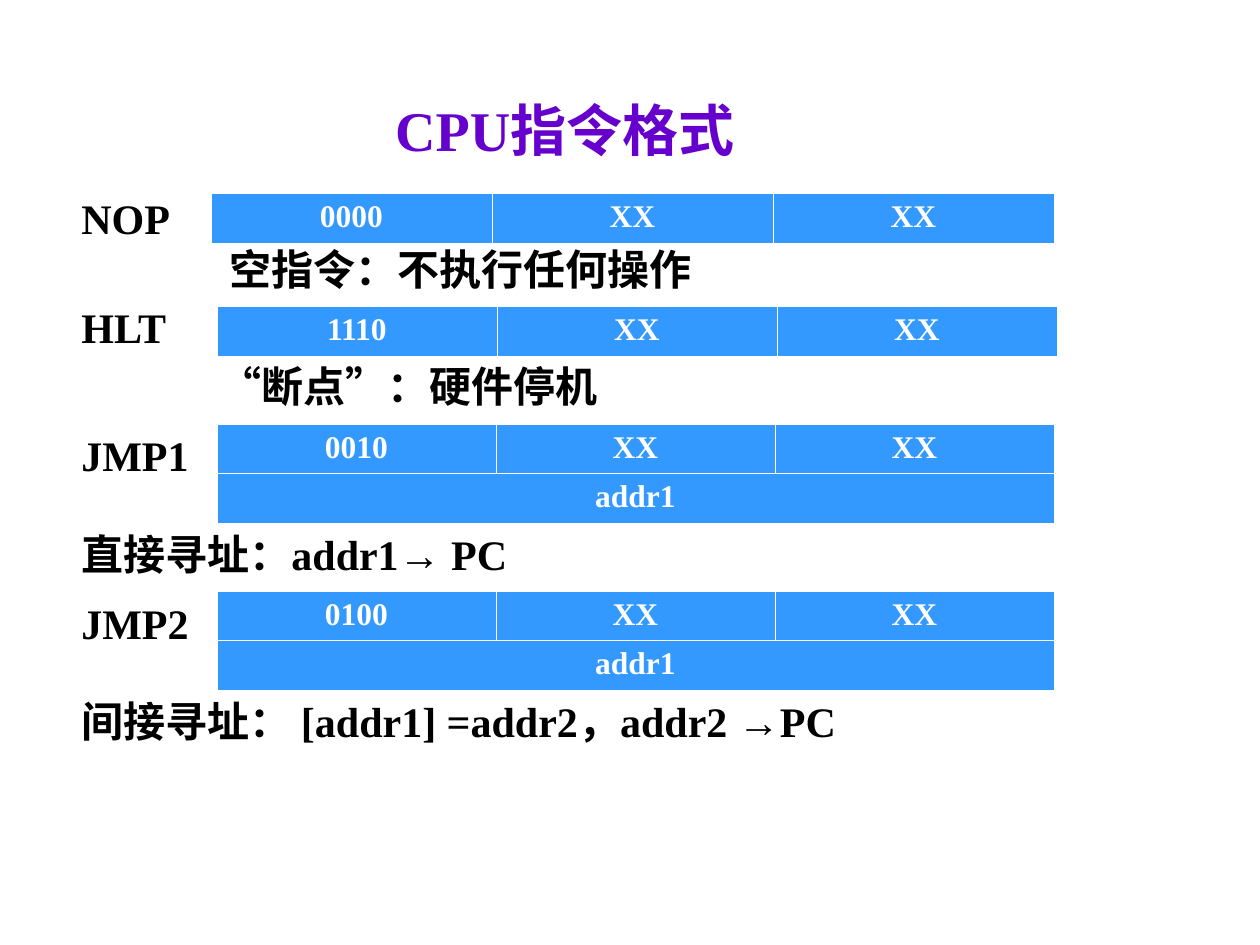
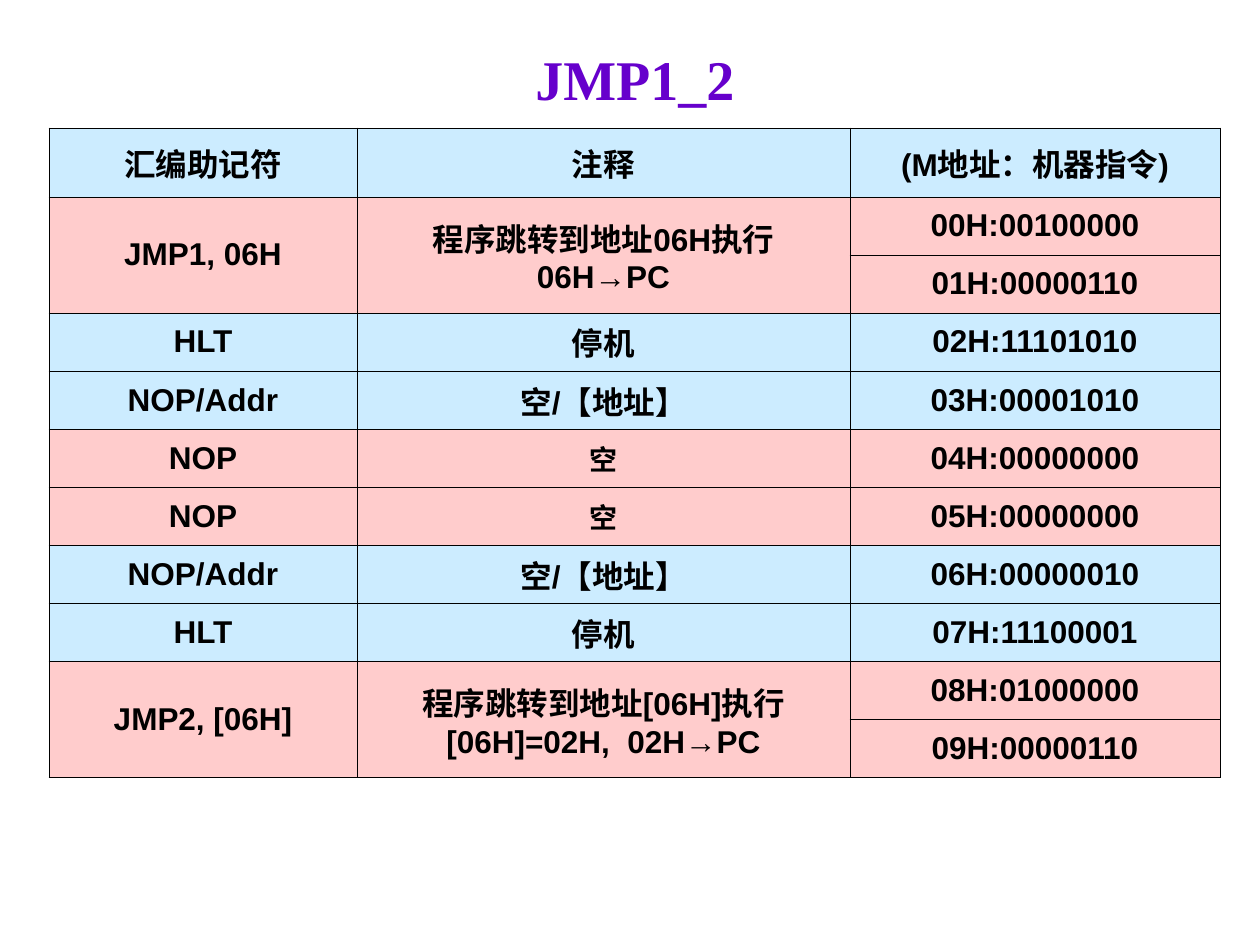
"""Build two slides on CPU instruction formats and a jump program."""
import pptx
import pptx.dml.color
import pptx.enum.lang
import pptx.enum.text
import pptx.oxml
import pptx.oxml.ns
import pptx.util

PX = 914400 / 126
PURPLE = pptx.dml.color.RGBColor(0x66, 0x00, 0xCC)
BLACK = pptx.dml.color.RGBColor(0x00, 0x00, 0x00)
WHITE = pptx.dml.color.RGBColor(0xFF, 0xFF, 0xFF)
BLUE = pptx.dml.color.RGBColor(0x33, 0x99, 0xFF)
PALE_BLUE = pptx.dml.color.RGBColor(0xCC, 0xEC, 0xFF)
PINK = pptx.dml.color.RGBColor(0xFF, 0xCC, 0xCC)
SERIF, SANS = "Times New Roman", "Arial"
CENTER = pptx.enum.text.PP_ALIGN.CENTER
LEFT = pptx.enum.text.PP_ALIGN.LEFT
TOP = pptx.enum.text.MSO_ANCHOR.TOP
MIDDLE = pptx.enum.text.MSO_ANCHOR.MIDDLE


def write(frame, text, size, font, ink, align):
    frame.word_wrap = True
    for number, line in enumerate(text.split("\n")):
        paragraph = frame.add_paragraph() if number else frame.paragraphs[0]
        paragraph.alignment = align
        for part in filter(None, line.partition("→")):
            run = paragraph.add_run()
            run.text = part
            run.font.name = SANS if part == "→" else font
            run.font.size = pptx.util.Pt(size)
            run.font.bold = True
            run.font.color.rgb = ink
            run.font.language_id = pptx.enum.lang.MSO_LANGUAGE_ID.SIMPLIFIED_CHINESE


def add_grid(slide, left, top, widths, heights, rows, fills, font, ink, rule, anchor):
    box = [round(n * PX) for n in (left, top, sum(widths), sum(heights))]
    grid = slide.shapes.add_table(len(rows), len(widths), *box).table
    grid.first_row = grid.horz_banding = False
    for column, width in zip(grid.columns, widths):
        column.width = round(width * PX)
    for r, (row, height, fill) in enumerate(zip(rows, heights, fills)):
        grid.rows[r].height = round(height * PX)
        for c, text in enumerate(row):
            cell = grid.cell(r, c)
            for side in ("lnL", "lnR", "lnT", "lnB"):
                cell._tc.get_or_add_tcPr().append(pptx.oxml.parse_xml(
                    f'<a:{side} {pptx.oxml.ns.nsdecls("a")} w="5715"><a:solidFill>'
                    f'<a:srgbClr val="{rule}"/></a:solidFill></a:{side}>'))
            cell.fill.solid()
            cell.fill.fore_color.rgb = fill
            cell.vertical_anchor = anchor
            if text is None:
                grid.cell(r - 1, c).merge(cell)
            else:
                write(cell.text_frame, text, 18, font, ink, CENTER)
    return grid


deck = pptx.Presentation()
deck.slide_width = pptx.util.Inches(10)
deck.slide_height = pptx.util.Inches(7.5)

slides = []
for heading, box in (("CPU指令格式", (78, 79, 974, 101)), ("JMP1_2", (49, 39, 1172, 78))):
    slide = deck.slides.add_slide(deck.slide_layouts[5])
    title = slide.shapes.title
    title.left, title.top, title.width, title.height = [round(n * PX) for n in box]
    title.text_frame.vertical_anchor = MIDDLE
    write(title.text_frame, heading, 32, SERIF, PURPLE, CENTER)
    slides.append(slide)
formats, program = slides

captions = [
    (69, 186, 136, "NOP"),
    (217, 237, 974, "空指令：不执行任何操作"),
    (69, 295, 136, "HLT"),
    (207, 354, 848, "“断点”：硬件停机"),
    (69, 423, 136, "JMP1"),
    (69, 522, 848, "直接寻址：addr1→ PC"),
    (69, 591, 136, "JMP2"),
    (69, 689, 848, "间接寻址： [addr1] =addr2，addr2 →PC"),
]
for left, top, width, text in captions:
    caption = formats.shapes.add_textbox(*[round(n * PX) for n in (left, top, width, 63)])
    write(caption.text_frame, text, 24, SERIF, BLACK, LEFT)

words = [
    (211, 193, [281] * 3, ["0000", "XX", "XX"]),
    (217, 306, [280] * 3, ["1110", "XX", "XX"]),
    (217, 424, [279] * 3, ["0010", "XX", "XX"]),
    (217, 473, [837], ["addr1"]),
    (217, 591, [279] * 3, ["0100", "XX", "XX"]),
    (217, 640, [837], ["addr1"]),
]
for left, top, widths, fields in words:
    add_grid(formats, left, top, widths, [50], [fields], [BLUE], SERIF, WHITE, WHITE, TOP)

listing = [
    (PALE_BLUE, "汇编助记符", "注释", "(M地址：机器指令)"),
    (PINK, "JMP1, 06H", "程序跳转到地址06H执行\n06H→PC", "00H:00100000"),
    (PINK, None, None, "01H:00000110"),
    (PALE_BLUE, "HLT", "停机", "02H:11101010"),
    (PALE_BLUE, "NOP/Addr", "空/【地址】", "03H:00001010"),
    (PINK, "NOP", "空", "04H:00000000"),
    (PINK, "NOP", "空", "05H:00000000"),
    (PALE_BLUE, "NOP/Addr", "空/【地址】", "06H:00000010"),
    (PALE_BLUE, "HLT", "停机", "07H:11100001"),
    (PINK, "JMP2, [06H]", "程序跳转到地址[06H]执行\n[06H]=02H,  02H→PC", "08H:01000000"),
    (PINK, None, None, "09H:00000110"),
]
fills = [line[0] for line in listing]
rows = [line[1:] for line in listing]
code = add_grid(program, 49, 128, [308, 493, 370], [69] + [58] * 10, rows, fills,
                SANS, BLACK, BLACK, MIDDLE)
for r, row in enumerate(rows):
    if row[1] == "空":
        code.cell(r, 1).text_frame.paragraphs[0].runs[0].font.size = pptx.util.Pt(16)

deck.save("out.pptx")
